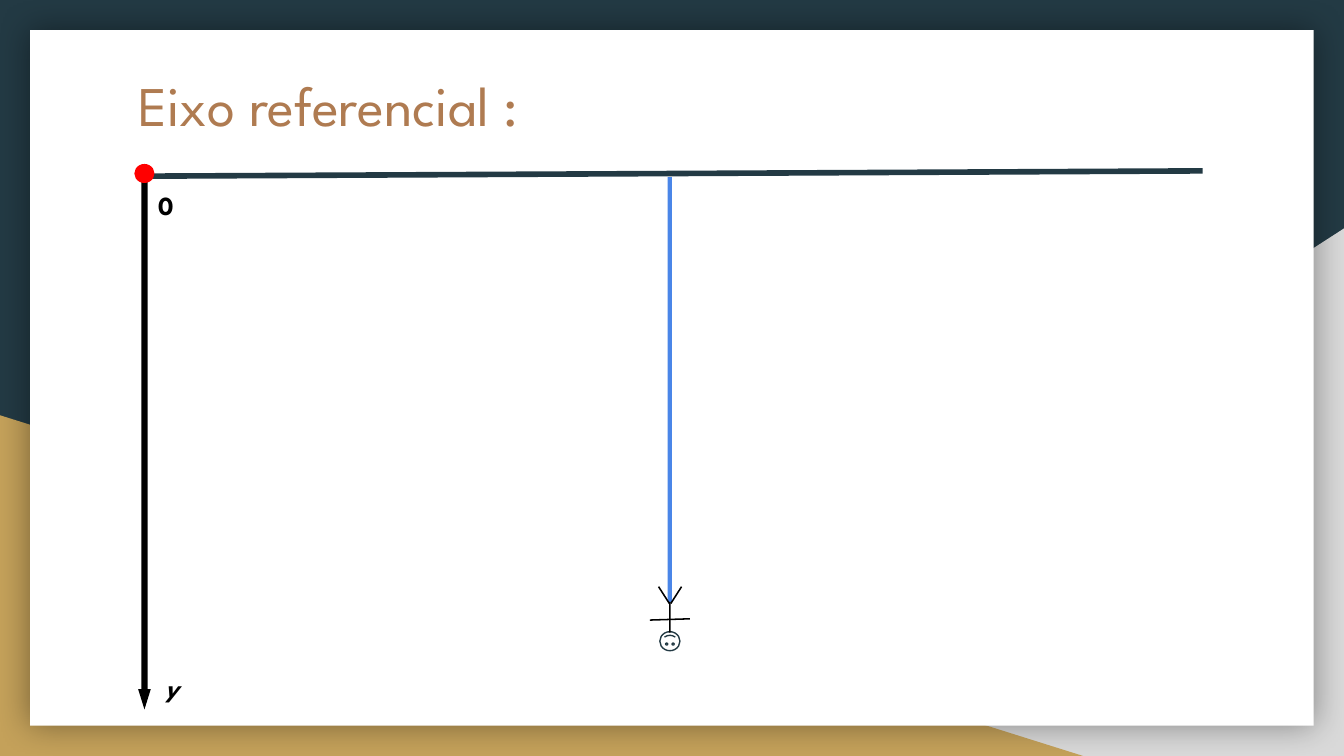
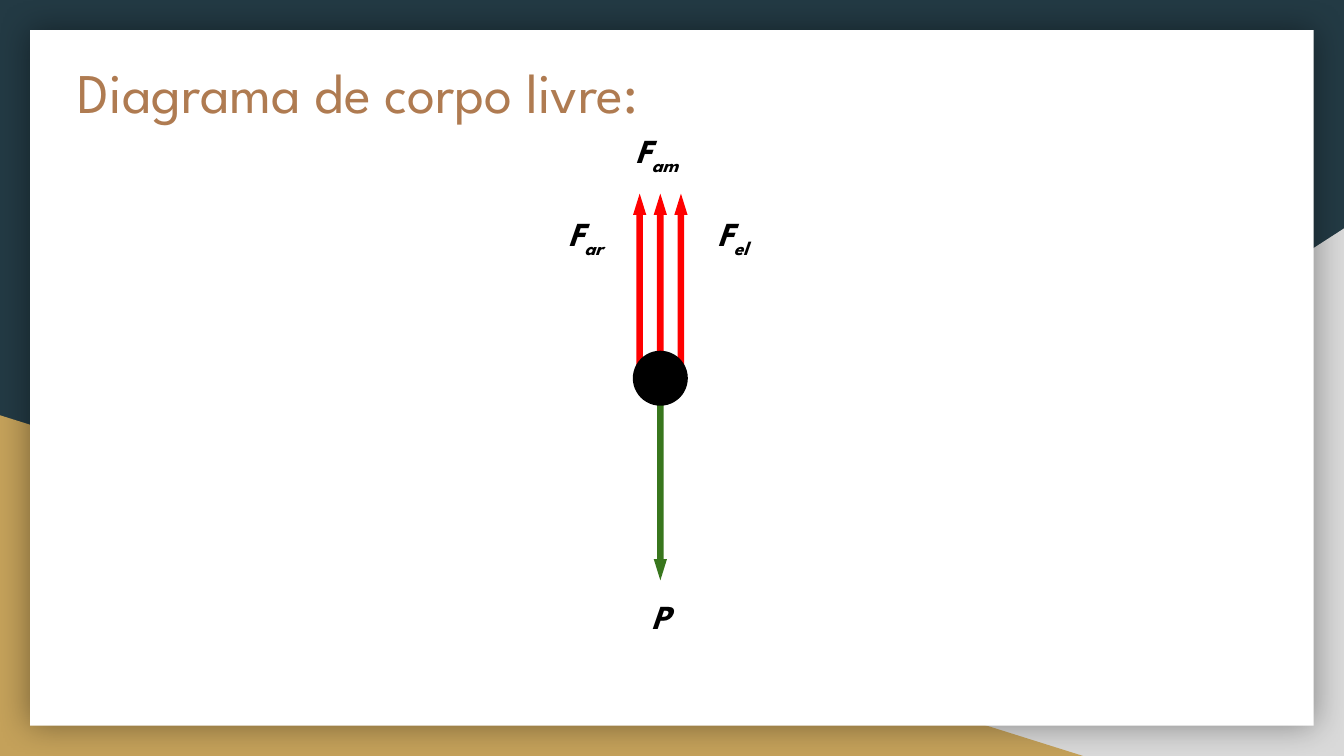
import pptx
import pptx.util
import pptx.dml.color
import pptx.enum.shapes
import pptx.enum.text
import pptx.oxml
import pptx.oxml.ns

Cm = pptx.util.Cm
SHAPE = pptx.enum.shapes.MSO_SHAPE
FONT = "League Spartan"
COLORS = {
    "navy": "233A44", "gray": "D9D9D9", "gold": "C4A15A", "white": "FFFFFF",
    "title": "AF7B51", "black": "000000", "rope": "4A86E8", "red": "FF0000",
    "green": "38761D",
}
PAGE_SIZE = (25.4, 14.29)
TITLE_STYLE = {"size": pptx.util.Pt(30)}
AXIS_STYLE = {"size": pptx.util.Pt(14), "bold": True}
FORCE_STYLE = {"size": pptx.util.Pt(18), "bold": True, "italic": True}


def rgb(name):
    return pptx.dml.color.RGBColor.from_string(COLORS[name])


def inside(box, left, top, width, height):
    """Turn offsets within a box into a place on the page, in cm."""
    return box[0] + left, box[1] + top, width, height


def add_effects(shape, xml):
    shape._element.spPr.append(pptx.oxml.parse_xml(xml))


# Basic parts
def add_part(page, kind, place, fill=None, line=None, rotation=0, adjust=()):
    shape = page.shapes.add_shape(kind, *map(Cm, place))
    shape.shadow.inherit = False
    shape.rotation = rotation
    for index, value in enumerate(adjust):
        shape.adjustments[index] = value
    if fill:
        shape.fill.solid()
        shape.fill.fore_color.rgb = rgb(fill)
    else:
        shape.fill.background()
    if line:
        shape.line.color.rgb = rgb(line)
        shape.line.width = pptx.util.Pt(0.75)
    else:
        shape.line.fill.background()
    return shape


def add_arrow(page, place, fill, rotation=0):
    add_part(page, SHAPE.UP_ARROW, place, fill, rotation=rotation, adjust=(0.5, 1.61))


def add_text(page, place, text, style, color="black", subscript=""):
    box = page.shapes.add_textbox(*map(Cm, place))
    frame = box.text_frame
    frame.word_wrap = True
    frame.vertical_anchor = pptx.enum.text.MSO_ANCHOR.TOP
    for side in ("left", "top", "right", "bottom"):
        setattr(frame, f"margin_{side}", Cm(0.25))
    para = frame.paragraphs[0]
    for content in filter(None, (text, subscript)):
        span = para.add_run()
        span.text = content
        for name, value in {"name": FONT, **style}.items():
            setattr(span.font, name, value)
        span.font.color.rgb = rgb(color)
    if subscript:
        span.font._element.set("baseline", "-25000")


def add_line(page, start, end, color, width):
    line = page.shapes.add_connector(
        pptx.enum.shapes.MSO_CONNECTOR.STRAIGHT, *map(Cm, start + end))
    line.line.color.rgb = rgb(color)
    line.line.width = pptx.util.Pt(width)
    add_effects(line, f"<a:effectLst {pptx.oxml.ns.nsdecls('a')}/>")


# Shared backdrop: two corner triangles and a white card
def add_backdrop(page, box):
    page.background.fill.solid()
    page.background.fill.fore_color.rgb = rgb("navy")
    width, height = box[2:]
    right = add_part(page, SHAPE.RIGHT_TRIANGLE,
                     inside(box, width - 15.44, height - 9.97, 15.44, 9.97), "gray")
    right._element.spPr.xfrm.set("flipH", "1")
    add_part(page, SHAPE.RIGHT_TRIANGLE,
             inside(box, 0, height - 6.44, 20.47, 6.44), "gold")
    margin = 0.57
    card = add_part(page, SHAPE.RECTANGLE,
                    inside(box, margin, margin, width - 2 * margin, height - 2 * margin),
                    "white")
    effects = card._element.spPr.find(pptx.oxml.ns.qn("a:effectLst"))
    effects.append(pptx.oxml.parse_xml(
        f'<a:outerShdw {pptx.oxml.ns.nsdecls("a")} blurRad="228600" dist="0" dir="0" '
        f'algn="ctr" rotWithShape="0"><a:srgbClr val="{COLORS["black"]}">'
        '<a:alpha val="40000"/></a:srgbClr></a:outerShdw>'))


def add_page(deck, title, title_place):
    page = deck.slides.add_slide(deck.slide_layouts[6])
    add_backdrop(page, (0, 0) + PAGE_SIZE)
    add_text(page, title_place, title, TITLE_STYLE, "title")
    return page


# Upside-down jumper, drawn as a stick figure
def add_jumper(page, box):
    add_part(page, SHAPE.SMILEY_FACE, inside(box, 0.19, 0.89, 0.38, 0.36),
             line="navy", rotation=180, adjust=(0.047,))
    thickness = 0.03
    limbs = [  # centre x, centre y, length, rotation
        (0.38, 0.62, 0.58, 0),
        (0.5, 0.2, 0.38, 32.7),
        (0.27, 0.2, 0.38, -32.7),
        (0.38, 0.66, 0.76, 88.2),
    ]
    for x, y, length, rotation in limbs:
        place = inside(box, x - thickness / 2, y - length / 2, thickness, length)
        add_part(page, SHAPE.RECTANGLE, place, "black", rotation=rotation)


# Vertical axis, platform, rope and jumper
def add_reference_axis(page, box):
    add_part(page, SHAPE.RECTANGLE, inside(box, 10.08, 0.25, 0.08, 8.03), "rope")
    add_arrow(page, inside(box, 0.07, 0.18, 0.24, 10.13), "black", rotation=180)
    add_text(page, inside(box, 0.2, 0.23, 1.7, 0.86), "0", AXIS_STYLE)
    add_text(page, inside(box, 0.33, 9.35, 0.76, 0.86), "y",
             {**AXIS_STYLE, "italic": True})
    add_jumper(page, inside(box, 9.74, 7.95, 0.76, 1.25))
    add_line(page, inside(box, 0.13, 0.23, 0, 0)[:2],
             inside(box, 20.19, 0.13, 0, 0)[:2], "navy", 3)
    add_part(page, SHAPE.OVAL, inside(box, 0, 0, 0.38, 0.36), "red")


# Body with three upward forces and its weight
def add_free_body(page, box):
    center_x, center_y, diameter = 1.99, 4.94, 1.04
    width, length, gap = 0.25, 3.48, 0.39
    for step in (-1, 0, 1):
        left = center_x + step * gap - width / 2
        add_arrow(page, inside(box, left, 1.45, width, length), "red")
    add_arrow(page, inside(box, center_x - width / 2, 5.28, width, length),
              "green", rotation=180)
    add_part(page, SHAPE.OVAL,
             inside(box, center_x - diameter / 2, center_y - diameter / 2,
                    diameter, diameter), "black")
    labels = [
        ("F", "ar", 0, 1.57, 1.47),
        ("F", "el", 2.82, 1.57, 1.47),
        ("F", "am", 1.27, 0, 1.47),
        ("P", "", 1.57, 8.81, 0.86),
    ]
    for letter, subscript, left, top, label_width in labels:
        add_text(page, inside(box, left, top, label_width, 1.04), letter,
                 FORCE_STYLE, subscript=subscript)


def main():
    deck = pptx.Presentation()
    deck.slide_width, deck.slide_height = map(Cm, PAGE_SIZE)

    page = add_page(deck, "Eixo referencial :", (2.36, 1.09, 20.42, 1.6))
    add_reference_axis(page, (2.54, 3.1, 20.2, 10.31))

    page = add_page(deck, "Diagrama de corpo livre:", (1.22, 0.84, 20.85, 2.64))
    add_free_body(page, (10.49, 2.21, 4.29, 9.85))

    deck.save("out.pptx")


if __name__ == "__main__":
    main()
